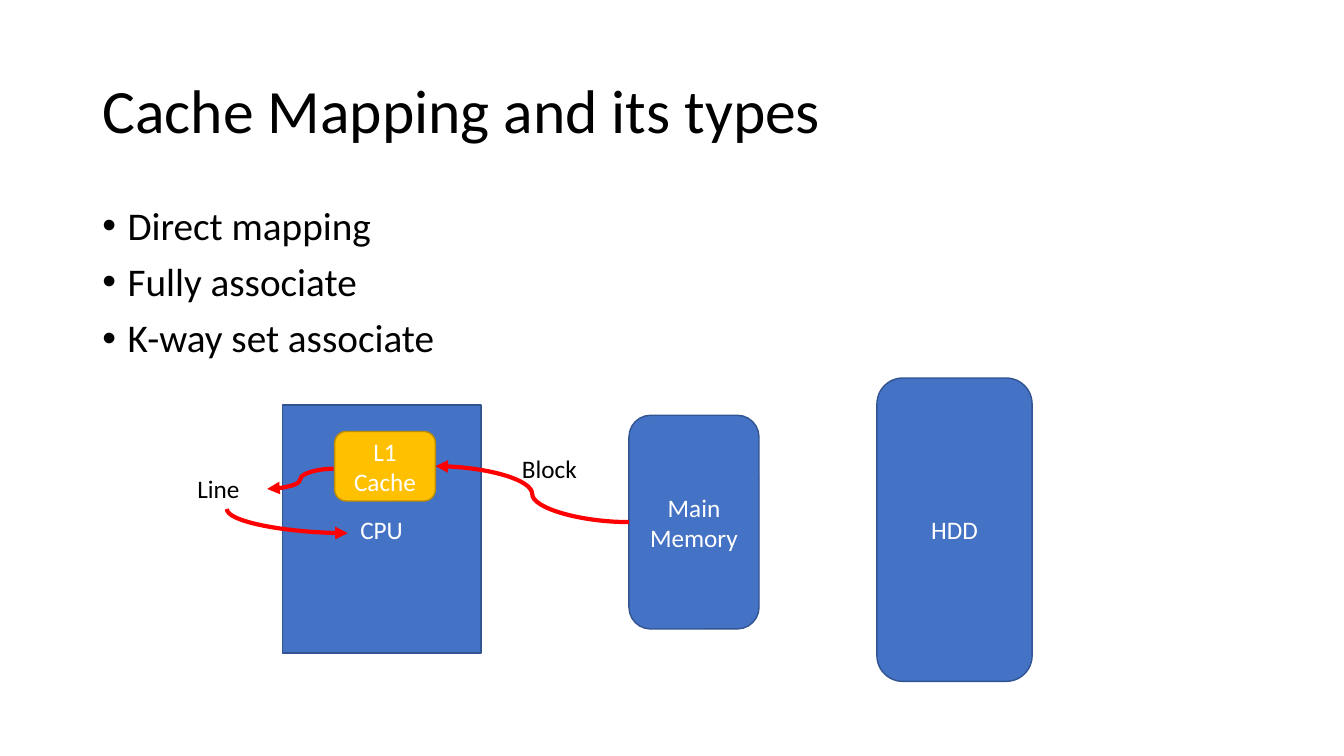
from lxml.etree import SubElement
from pptx import Presentation
from pptx.dml.color import RGBColor
from pptx.enum.shapes import MSO_CONNECTOR as Link, MSO_SHAPE as Shape
from pptx.enum.text import MSO_ANCHOR as Anchor, PP_ALIGN as Align
from pptx.oxml.ns import qn
from pptx.util import Inches, Pt

BLACK = RGBColor(0x00, 0x00, 0x00)
WHITE = RGBColor(0xFF, 0xFF, 0xFF)
BLUE = RGBColor(0x44, 0x72, 0xC4)
NAVY = RGBColor(0x32, 0x54, 0x91)
GOLD = RGBColor(0xFF, 0xC0, 0x00)
BROWN = RGBColor(0xBD, 0x8E, 0x00)
RED = RGBColor(0xFF, 0x00, 0x00)

WIDTH, HEIGHT = Inches(13.333), Inches(7.5)
FONT = "Calibri"


def across(share):
    """Length for a percentage of the slide's width."""
    return round(WIDTH * share / 100)


def down(share):
    """Length for a percentage of the slide's height."""
    return round(HEIGHT * share / 100)


def place(x, y, w, h):
    return across(x), down(y), across(w), down(h)


def write(frame, lines, size, color, align=Align.LEFT, bullet=False):
    frame.word_wrap = True
    frame.text = "\n".join(lines)
    for i, para in enumerate(frame.paragraphs):
        if bullet:
            props = para._p.get_or_add_pPr()
            props.set("marL", str(Inches(0.25)))
            props.set("indent", str(-Inches(0.25)))
            SubElement(props, qn("a:buFont"), typeface="Arial")
            SubElement(props, qn("a:buChar"), char="•")
            para.space_before = Pt(10 if i else 0)
        if size > 18:
            para.line_spacing = 0.9
        para.alignment = align
        para.font.name = FONT
        para.font.size = Pt(size)
        para.font.color.rgb = color


def add_text(slide, area, lines, size=18, anchor=Anchor.TOP, bullet=False):
    frame = slide.shapes.add_textbox(*place(*area)).text_frame
    frame.vertical_anchor = anchor
    write(frame, lines, size, BLACK, bullet=bullet)


def add_block(slide, kind, area, lines, fill=BLUE, edge=NAVY):
    block = slide.shapes.add_shape(kind, *place(*area))
    block.shadow.inherit = False
    block.fill.solid()
    block.fill.fore_color.rgb = fill
    block.line.color.rgb = edge
    block.line.width = Pt(1)
    block.text_frame.vertical_anchor = Anchor.MIDDLE
    write(block.text_frame, lines, 18, WHITE, Align.CENTER)


def add_arrow(slide, *ends):
    """Red curved arrow between two points given as EMU lengths."""
    arrow = slide.shapes.add_connector(Link.CURVE, *ends)
    arrow.line.color.rgb = RED
    arrow.line.width = Pt(3)
    SubElement(arrow.line._get_or_add_ln(), qn("a:tailEnd"), type="triangle")
    SubElement(arrow._element.spPr, qn("a:effectLst"))
    return arrow


def add_bend(slide, x1, y1, x2, y2):
    """Arrow that leaves downwards and arrives from the left."""
    mid_x, mid_y = (x1 + x2) // 2, (y1 + y2) // 2
    half_w, half_h = (x2 - x1) // 2, (y2 - y1) // 2
    # The frame stands upright and is turned by 270 degrees.
    arrow = add_arrow(slide, mid_x + half_h, mid_y - half_w,
                      mid_x - half_h, mid_y + half_w)
    props = arrow._element.spPr
    props.find(qn("a:xfrm")).set("rot", str(270 * 60000))
    props.find(qn("a:prstGeom")).set("prst", "curvedConnector2")


def main():
    deck = Presentation()
    deck.slide_width, deck.slide_height = WIDTH, HEIGHT
    slide = deck.slides.add_slide(deck.slide_layouts[6])

    add_text(slide, (6.88, 5.33, 86.25, 19.33),
             ["Cache Mapping and its types"], 44, Anchor.MIDDLE)
    add_text(slide, (6.88, 26.62, 86.25, 63.45),
             ["Direct mapping", "Fully associate", "K-way set associate"],
             28, bullet=True)

    add_block(slide, Shape.RECTANGLE, (21, 53.6, 14.78, 32.8), ["CPU"])
    add_block(slide, Shape.ROUNDED_RECTANGLE, (24.9, 57.07, 7.5, 9.2),
              ["L1 Cache"], GOLD, BROWN)
    add_block(slide, Shape.ROUNDED_RECTANGLE, (46.8, 54.93, 9.68, 28.27),
              ["Main", "Memory"])
    add_block(slide, Shape.ROUNDED_RECTANGLE, (65.25, 50, 11.55, 40.13), ["HDD"])

    add_arrow(slide, *place(46.8, 69.07, 32.4, 61.67))
    add_text(slide, (38.1, 59.33, 7.2, 5.33), ["Block"])
    add_text(slide, (13.95, 62, 6, 5.33), ["Line"])
    add_arrow(slide, *place(24.83, 62, 19.88, 64.67))
    add_bend(slide, *place(16.88, 67.33, 25.88, 70.53))

    deck.save("out.pptx")


if __name__ == "__main__":
    main()
